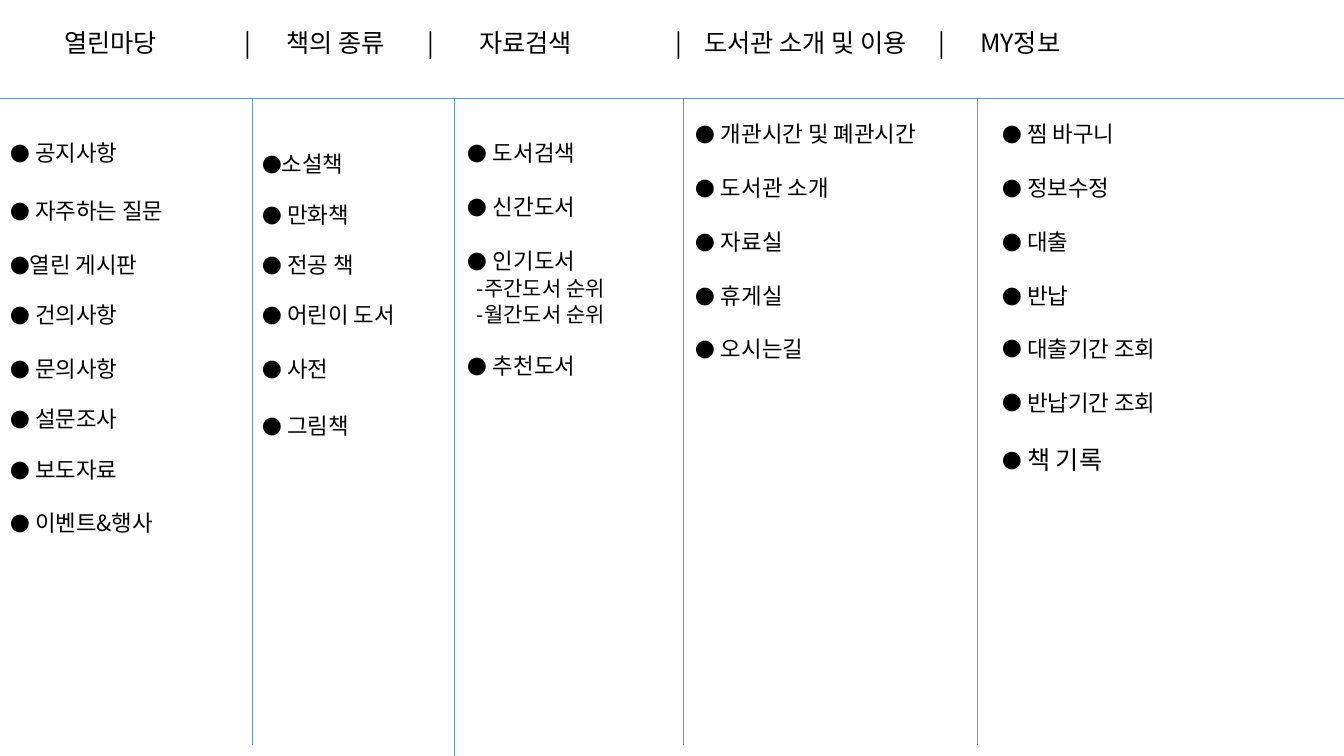
from dataclasses import dataclass

from lxml.etree import SubElement
from pptx import Presentation
from pptx.dml.color import RGBColor
from pptx.enum.shapes import MSO_CONNECTOR
from pptx.enum.text import MSO_ANCHOR, MSO_AUTO_SIZE, PP_ALIGN
from pptx.oxml.ns import qn
from pptx.util import Emu, Pt

PX = 9144000 // 960 * 96 // 100 * 100 // 1008 * 10 + 2
PX = round(914400 / 100.8)
FONT = "Noto Sans CJK KR"
BLACK = "000000"
RULE_BLUE = "5B9BD5"
LINE_HEIGHT = 26
INSET_X, INSET_Y = 10, 5
BULLET_GAP, TIGHT_GAP, SUB_INDENT = 25, 19, 9


@dataclass(frozen=True)
class Entry:
    """A menu entry; y is the middle of its line."""
    text: str
    y: int
    gap: int = BULLET_GAP
    size: int = 16
    sub: bool = False


@dataclass(frozen=True)
class Menu:
    left: int
    width: int
    entries: list[Entry]


@dataclass(frozen=True)
class Rule:
    x1: int
    y1: int
    x2: int
    y2: int


NAV_LEFT = 64
NAV = [("열린마당", 64), ("|", 244), ("책의 종류", 286), ("|", 427), ("자료검색", 479),
       ("|", 675), ("도서관 소개 및 이용", 704), ("|", 938), ("MY정보", 980)]

MENUS = [
    Menu(0, 205, [
        Entry("공지사항", 151), Entry("자주하는 질문", 209),
        Entry("열린 게시판", 263, TIGHT_GAP), Entry("건의사항", 313),
        Entry("문의사항", 367), Entry("설문조사", 417),
        Entry("보도자료", 468), Entry("이벤트&행사", 521)]),
    Menu(252, 192, [
        Entry("소설책", 162, TIGHT_GAP), Entry("만화책", 213), Entry("전공 책", 263),
        Entry("어린이 도서", 313), Entry("사전", 367), Entry("그림책", 424)]),
    Menu(458, 229, [
        Entry("도서검색", 151), Entry("신간도서", 205), Entry("인기도서", 259),
        Entry("-주간도서 순위", 286, size=15, sub=True),
        Entry("-월간도서 순위", 312, size=15, sub=True),
        Entry("추천도서", 364)]),
    Menu(686, 279, [
        Entry("개관시간 및 폐관시간", 132), Entry("도서관 소개", 186),
        Entry("자료실", 240), Entry("휴게실", 294), Entry("오시는길", 347)]),
    Menu(992, 226, [
        Entry("찜 바구니", 132), Entry("정보수정", 186), Entry("대출", 240),
        Entry("반납", 294), Entry("대출기간 조회", 347),
        Entry("반납기간 조회", 401), Entry("책 기록", 460, size=18)]),
]

RULES = [Rule(0, 98, 1344, 98), Rule(252, 98, 252, 745), Rule(454, 98, 454, 756),
         Rule(683, 98, 683, 745), Rule(977, 98, 977, 745)]


def px(length: int) -> Emu:
    return Emu(length * PX)


def color(hex_code: str) -> RGBColor:
    return RGBColor.from_string(hex_code)


def place(shape, left: int, top: int, width: int, height: int) -> None:
    shape.left, shape.top = px(left), px(top)
    shape.width, shape.height = px(width), px(height)


def format_frame(frame, anchor: MSO_ANCHOR) -> None:
    frame.word_wrap = True
    frame.auto_size = MSO_AUTO_SIZE.NONE
    frame.vertical_anchor = anchor
    frame.margin_left = frame.margin_right = px(INSET_X)
    frame.margin_top = frame.margin_bottom = px(INSET_Y)


def format_runs(paragraph, size: int) -> None:
    paragraph.alignment = PP_ALIGN.LEFT
    for run in paragraph.runs:
        run.font.size = Pt(size)
        run.font.bold = False
        run.font.color.rgb = color(BLACK)
        run.font.name = FONT
        SubElement(run.font._element, qn("a:ea"), typeface=FONT)


def set_bullet(paragraph, entry: Entry) -> None:
    props = paragraph._p.get_or_add_pPr()
    if entry.sub:
        props.set("marL", str(px(SUB_INDENT)))
        props.set("indent", "0")
        SubElement(props, qn("a:buNone"))
        return
    props.set("marL", str(px(entry.gap)))
    props.set("indent", str(-px(entry.gap)))
    SubElement(props, qn("a:buSzPct"), val=str(round(14 / entry.size * 100) * 1000))
    SubElement(props, qn("a:buFont"), typeface=FONT)
    SubElement(props, qn("a:buChar"), char="●")


def fill_nav(title) -> None:
    place(title, NAV_LEFT - INSET_X, 19, 1200, 46)
    format_frame(title.text_frame, MSO_ANCHOR.MIDDLE)
    title.text_frame.text = "\t".join(label for label, _ in NAV)
    paragraph = title.text_frame.paragraphs[0]
    format_runs(paragraph, 18)
    tabs = SubElement(paragraph._p.get_or_add_pPr(), qn("a:tabLst"))
    for _, x in NAV[1:]:
        SubElement(tabs, qn("a:tab"), pos=str(px(x - NAV_LEFT)), algn="l")


def fill_menu(shape, menu: Menu) -> None:
    entries = menu.entries
    first, last = entries[0].y, entries[-1].y
    place(shape, menu.left, first - LINE_HEIGHT // 2 - INSET_Y + 2,
          menu.width, last - first + LINE_HEIGHT + 2 * INSET_Y)
    frame = shape.text_frame
    format_frame(frame, MSO_ANCHOR.TOP)
    frame.text = "\n".join(entry.text for entry in entries)
    previous = first - LINE_HEIGHT
    for paragraph, entry in zip(frame.paragraphs, entries):
        format_runs(paragraph, entry.size)
        paragraph.line_spacing = Pt(px(LINE_HEIGHT).pt)
        paragraph.space_before = Pt(px(entry.y - previous - LINE_HEIGHT).pt)
        paragraph.space_after = Pt(0)
        set_bullet(paragraph, entry)
        previous = entry.y


def draw_rule(slide, rule: Rule) -> None:
    line = slide.shapes.add_connector(MSO_CONNECTOR.STRAIGHT, px(rule.x1), px(rule.y1),
                                      px(rule.x2), px(rule.y2))
    line.line.color.rgb = color(RULE_BLUE)
    line.line.width = Pt(0.5)
    SubElement(line._element.spPr, qn("a:effectLst"))


def main() -> None:
    presentation = Presentation()
    presentation.slide_width, presentation.slide_height = px(1344), px(756)
    comparison_layout = presentation.slide_layouts[4]
    slide = presentation.slides.add_slide(comparison_layout)

    fill_nav(slide.shapes.title)
    menu_shapes = [holder for holder in slide.placeholders
                   if holder.placeholder_format.idx > 0]
    # The layout has four bodies; the fifth menu takes a text box.
    menu_shapes.append(slide.shapes.add_textbox(0, 0, 0, 0))
    for shape, menu in zip(menu_shapes, MENUS):
        fill_menu(shape, menu)
    for rule in RULES:
        draw_rule(slide, rule)
    presentation.save("out.pptx")


if __name__ == "__main__":
    main()
